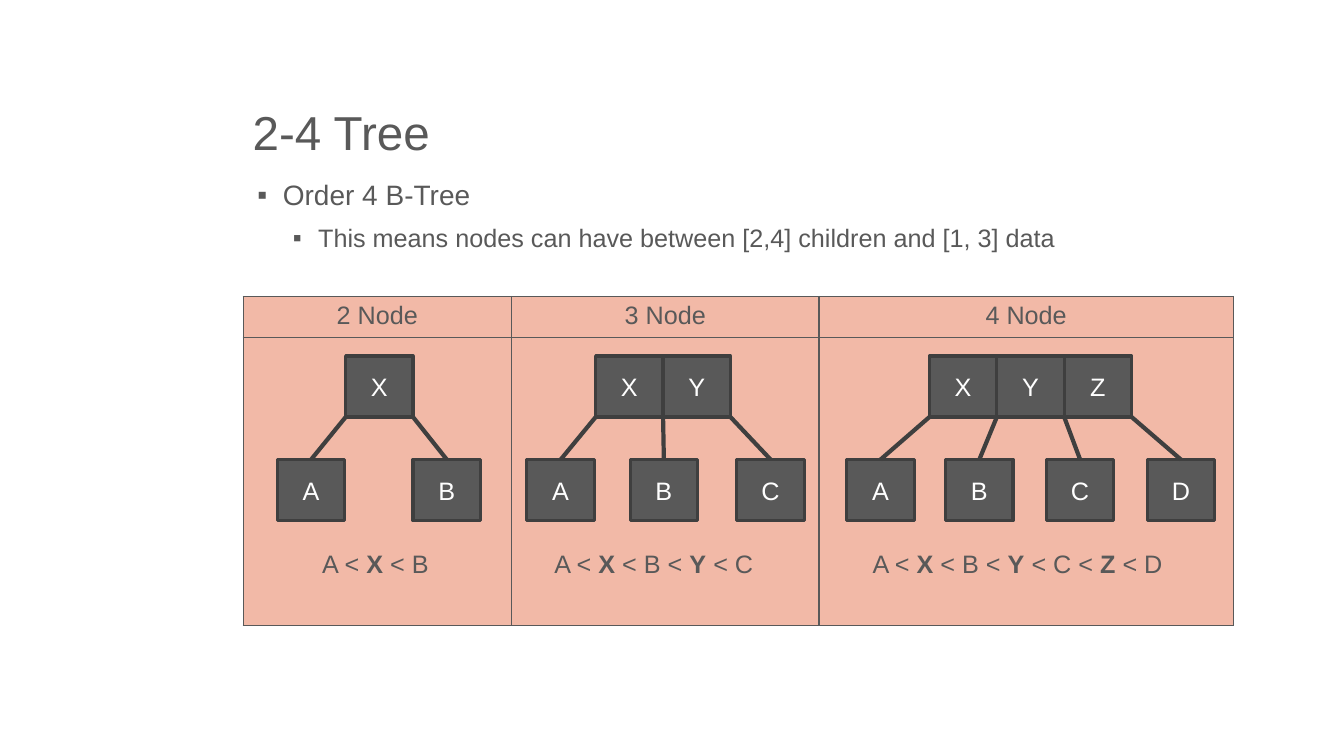
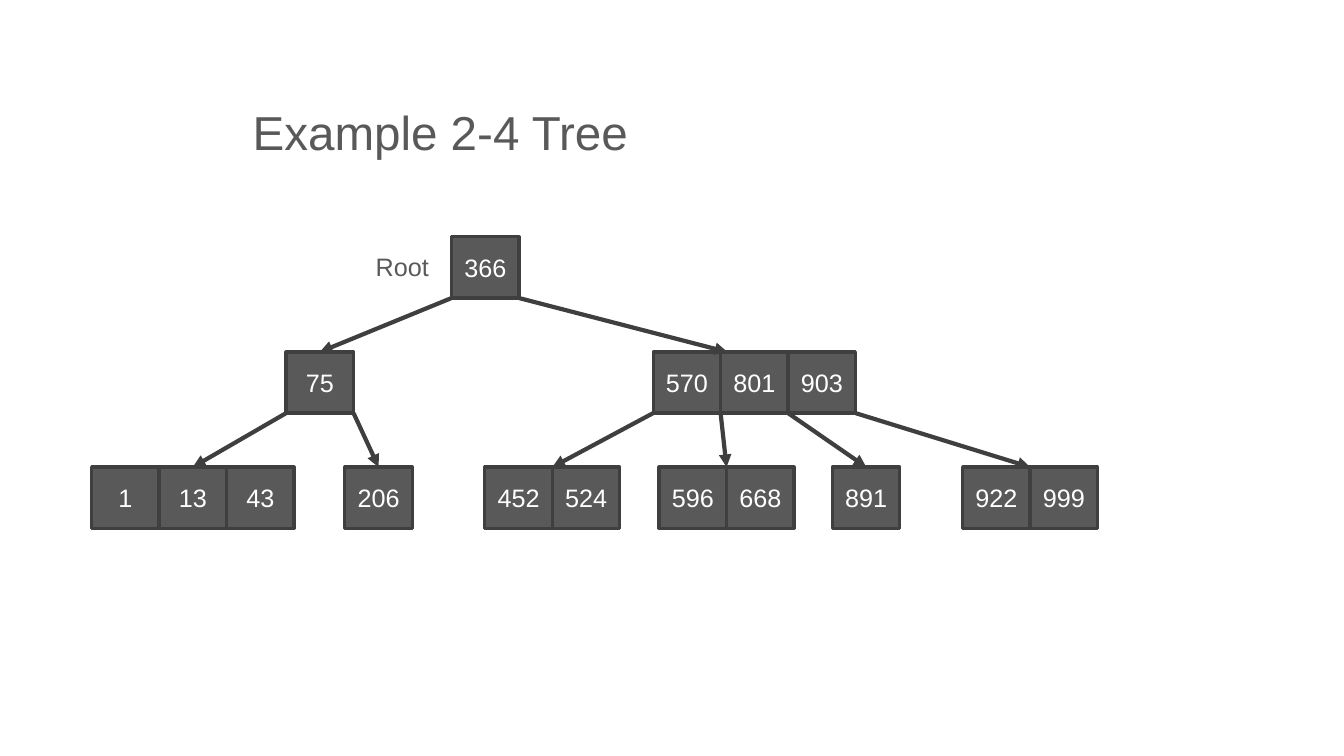
from collections import Counter
from pptx import Presentation
from pptx.dml.color import RGBColor
from pptx.enum.shapes import MSO_CONNECTOR, MSO_SHAPE
from pptx.enum.text import MSO_ANCHOR, PP_ALIGN
from pptx.oxml.ns import qn
from pptx.util import Cm, Pt
from lxml.etree import SubElement

GREY = RGBColor(0x59, 0x59, 0x59)
EDGE = RGBColor(0x3F, 0x3F, 0x3F)
SALMON = RGBColor(0xF2, 0xB9, 0xA7)
WHITE = RGBColor(0xFF, 0xFF, 0xFF)

KEY_WIDTH, KEY_HEIGHT = 1.7, 1.54
CONTENT_LEFT, CONTENT_WIDTH = 6.12, 26.04


def write(paragraph, text, size=18, color=GREY, **layout):
    for name, value in layout.items():
        setattr(paragraph, name, value)
    for position, part in enumerate(text.split("|")):
        run = paragraph.add_run()
        run.text = part
        font_format = {"name": "Arial", "size": Pt(size), "bold": position % 2 == 1}
        for name, value in font_format.items():
            setattr(run.font, name, value)
        run.font.color.rgb = color


def add_frame(slide, left, top, width, height, anchor=MSO_ANCHOR.TOP):
    frame = slide.shapes.add_textbox(Cm(left), Cm(top), Cm(width), Cm(height)).text_frame
    frame.word_wrap = True
    frame.vertical_anchor = anchor
    return frame


deck = Presentation()
deck.slide_width, deck.slide_height = Cm(33.87), Cm(19.05)

slides = []
for heading in ("2-4 Tree", "Example 2-4 Tree"):
    slide = deck.slides.add_slide(deck.slide_layouts[6])
    title = add_frame(slide, CONTENT_LEFT, 0.84, CONTENT_WIDTH, 3.33, MSO_ANCHOR.BOTTOM)
    write(title.paragraphs[0], heading, 34, line_spacing=0.9)
    slides.append(slide)
node_types, example = slides

definition = add_frame(node_types, CONTENT_LEFT, 4.45, CONTENT_WIDTH, 11.43)
points = [
    ("Order 4 B-Tree", 20, 0.76, 0),
    ("This means nodes can have between [2,4] children and [1, 3] data", 18, 1.65, 10),
]
for level, (point, size, margin, before) in enumerate(points):
    paragraph = definition.add_paragraph() if level else definition.paragraphs[0]
    write(paragraph, point, size, level=level, line_spacing=0.9, space_before=Pt(before))
    properties = paragraph._p.get_or_add_pPr()
    properties.set("marL", str(Cm(margin)))
    properties.set("indent", str(Cm(-0.64)))
    bullet_color = SubElement(properties, qn("a:buClr"))
    SubElement(bullet_color, qn("a:srgbClr"), val=str(GREY))
    SubElement(properties, qn("a:buFont"), typeface="Arial")
    SubElement(properties, qn("a:buChar"), char="▪")

column_widths, row_heights = (6.76, 7.75, 10.44), (1.04, 7.26)
comparison = node_types.shapes.add_table(
    2, 3, Cm(6.13), Cm(7.47), Cm(sum(column_widths)), Cm(sum(row_heights))
).table
comparison.first_row = comparison.horz_banding = False
for column, width in zip(comparison.columns, column_widths):
    column.width = Cm(width)
for row, height in zip(comparison.rows, row_heights):
    row.height = Cm(height)
for cell in comparison.iter_cells():
    cell_properties = cell._tc.get_or_add_tcPr()
    for side in ("lnL", "lnR", "lnT", "lnB"):
        border = SubElement(cell_properties, qn("a:" + side), w=str(Pt(1)))
        border_fill = SubElement(border, qn("a:solidFill"))
        SubElement(border_fill, qn("a:srgbClr"), val=str(GREY))
    cell.fill.solid()
    cell.fill.fore_color.rgb = SALMON
for column, name in enumerate(("2 Node", "3 Node", "4 Node")):
    write(comparison.cell(0, column).text_frame.paragraphs[0], name, alignment=PP_ALIGN.CENTER)

labels = [
    (node_types, "A < |X| < B", 7.87, 13.69, 3.48),
    (node_types, "A < |X| < B < |Y| < C", 13.72, 13.69, 6.05),
    (node_types, "A < |X| < B < |Y| < C < |Z| < D", 21.74, 13.69, 8.59),
    (example, "Root", 9.22, 6.22, 1.88),
]
for slide, label, left, top, width in labels:
    write(add_frame(slide, left, top, width, 1.02).paragraphs[0], label)

TYPE_TOPS = (8.97, 11.58)
EXAMPLE_TOPS = [5.97 + 2.9 * level for level in range(3)]
trees = [
    (node_types, TYPE_TOPS, False, [
        ("X", 8.71, 0, None), ("A", 6.99, 1, 0), ("B", 10.41, 1, 0),
    ]),
    (node_types, TYPE_TOPS, False, [
        ("X Y", 15.01, 0, None),
        ("A", 13.28, 1, 0), ("B", 15.88, 1, 0), ("C", 18.57, 1, 0),
    ]),
    (node_types, TYPE_TOPS, False, [
        ("X Y Z", 23.42, 0, None),
        ("A", 21.34, 1, 0), ("B", 23.83, 1, 0), ("C", 26.37, 1, 0), ("D", 28.91, 1, 0),
    ]),
    (example, EXAMPLE_TOPS, True, [
        ("366", 11.38, 0, None),
        ("75", 7.21, 1, 0), ("570 801 903", 16.46, 1, 0),
        ("1 13 43", 2.31, 2, 1), ("206", 8.69, 2, 1),
        ("452 524", 12.22, 2, 2), ("596 668", 16.61, 2, 2),
        ("891", 20.98, 2, 2), ("922 999", 24.26, 2, 2),
    ]),
]
ARROW_LANDINGS = {"570 801 903": 1.1}

for slide, tops, directed, nodes in trees:
    key_boxes = []
    for keys, left, level, parent in nodes:
        boxes = []
        for position, key in enumerate(keys.split()):
            box = slide.shapes.add_shape(
                MSO_SHAPE.RECTANGLE, Cm(left + position * KEY_WIDTH), Cm(tops[level]),
                Cm(KEY_WIDTH), Cm(KEY_HEIGHT),
            )
            box.shadow.inherit = False
            box.fill.solid()
            box.fill.fore_color.rgb = GREY
            box.line.color.rgb = EDGE
            box.line.width = Pt(2.25)
            box.text_frame.vertical_anchor = MSO_ANCHOR.MIDDLE
            box.text_frame.word_wrap = False
            write(box.text_frame.paragraphs[0], key, color=WHITE, alignment=PP_ALIGN.CENTER)
            boxes.append(box)
        key_boxes.append(boxes)

    children_drawn = Counter()
    for (keys, left, level, parent), boxes in zip(nodes, key_boxes):
        if parent is None:
            continue
        _, parent_left, parent_level, _ = nodes[parent]
        landing = ARROW_LANDINGS.get(keys, len(boxes) / 2)
        branch = slide.shapes.add_connector(
            MSO_CONNECTOR.STRAIGHT,
            Cm(parent_left + children_drawn[parent] * KEY_WIDTH),
            Cm(tops[parent_level] + KEY_HEIGHT),
            Cm(left + landing * KEY_WIDTH), Cm(tops[level]),
        )
        children_drawn[parent] += 1
        if len(boxes) % 2 and keys not in ARROW_LANDINGS:
            branch.end_connect(boxes[len(boxes) // 2], 0)
        branch.line.color.rgb = EDGE
        branch.line.width = Pt(3)
        branch_properties = branch._element.spPr
        if directed:
            SubElement(branch_properties.find(qn("a:ln")), qn("a:tailEnd"), type="triangle")
        SubElement(branch_properties, qn("a:effectLst"))

deck.save("out.pptx")
